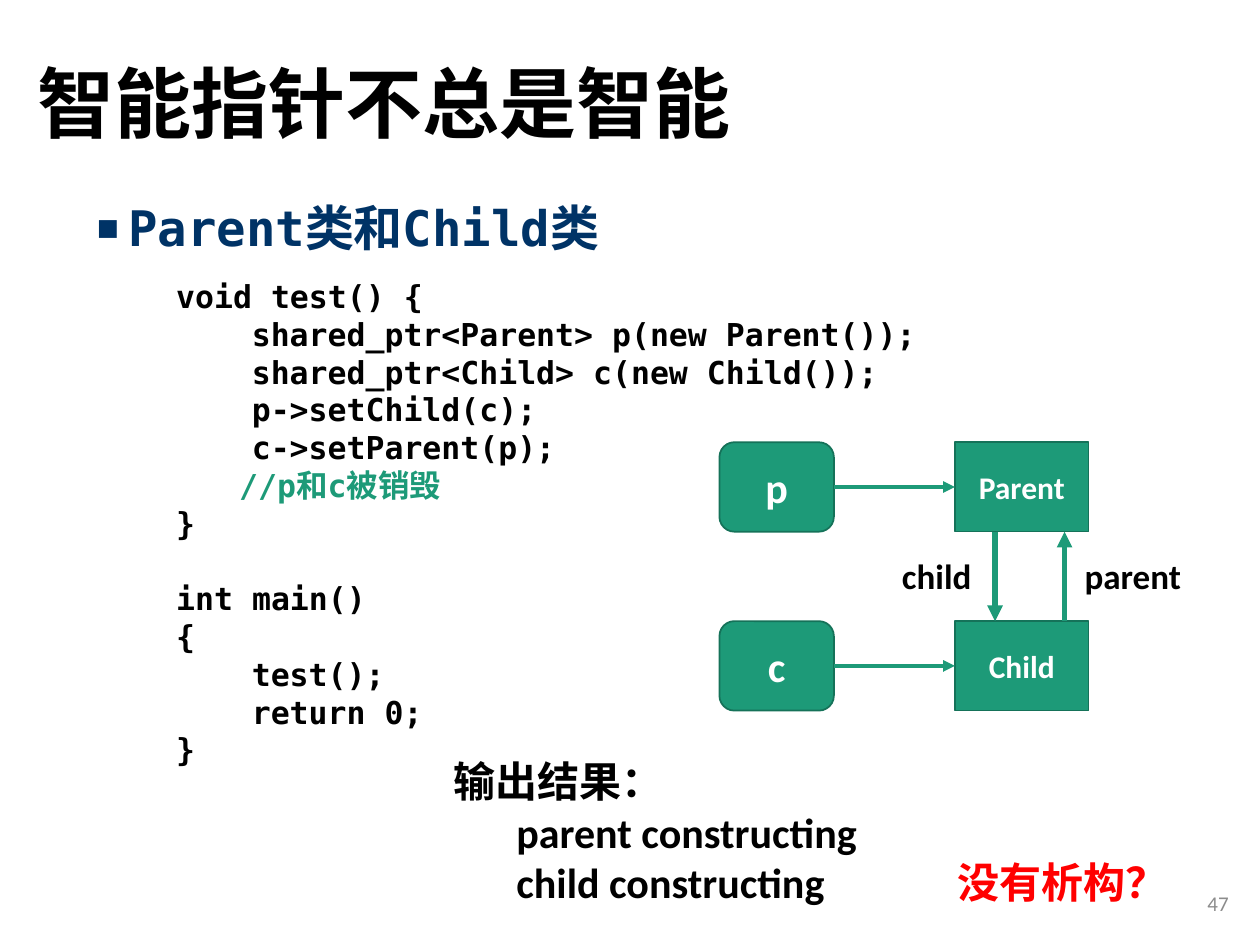
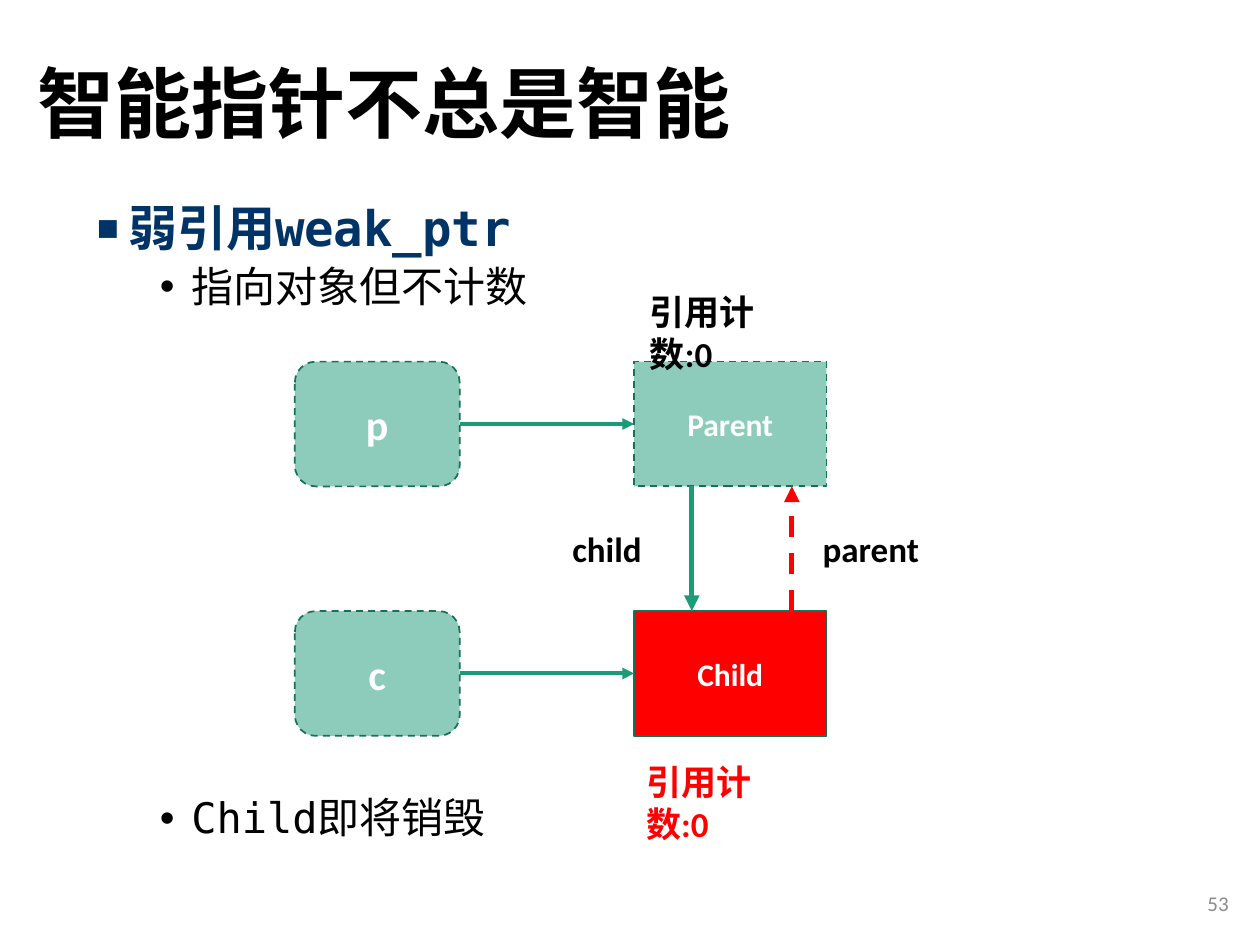
import dataclasses
import typing

import pptx
import pptx.dml.color
import pptx.enum.dml
import pptx.enum.shapes
import pptx.enum.text
import pptx.oxml
import pptx.oxml.ns
import pptx.util
from pptx.util import Inches

Align = pptx.enum.text.PP_ALIGN
Anchor = pptx.enum.text.MSO_ANCHOR
Shape = pptx.enum.shapes.MSO_SHAPE
STRAIGHT = pptx.enum.shapes.MSO_CONNECTOR.STRAIGHT
DASH = pptx.enum.dml.MSO_LINE.DASH
LEFT_SITE, RIGHT_SITE = 1, 3


@dataclasses.dataclass(frozen=True)
class Theme:
    black: str = "000000"
    white: str = "FFFFFF"
    navy: str = "003366"
    green: str = "1D9A78"
    dark_green: str = "157259"
    red: str = "FF0000"
    grey: str = "8C8C8C"
    title_font: str = "Noto Sans CJK SC"
    code_font: str = "DejaVu Sans Mono"
    text_font: str = "Calibri"
    title_size: int = 44
    heading_size: int = 28
    text_size: int = 24
    label_size: int = 20
    code_size: int = 18
    number_size: int = 12


THEME = Theme()


class Box(typing.NamedTuple):
    left: float
    top: float
    width: float
    height: float

    def lengths(self):
        return [Inches(side) for side in self]


TITLE_BOX = Box(0.2, 0.13, 8.62, 1.45)
BODY_BOX = Box(0.67, 1.57, 8.8, 5.19)
NUMBER_BOX = Box(7.6, 6.97, 2.25, 0.4)


def rgb(color):
    return pptx.dml.color.RGBColor.from_string(color)


def add_xml(parent, tag, **attributes):
    child = pptx.oxml.parse_xml(f"<a:{tag} {pptx.oxml.ns.nsdecls('a')}/>")
    for name, value in attributes.items():
        child.set(name, str(value))
    parent.append(child)
    return child


def add_text(page, box, anchor=Anchor.TOP):
    frame = page.shapes.add_textbox(*box.lengths()).text_frame
    frame.word_wrap = True
    frame.vertical_anchor = anchor
    return frame


def write(frame, text, size, font, color=THEME.black, bold=True, align=Align.LEFT):
    para = frame.paragraphs[0]
    if para.runs:
        para = frame.add_paragraph()
    para.add_run().text = text
    para.alignment = align
    para.font.size = pptx.util.Pt(size)
    para.font.name = font
    para.font.bold = bold
    para.font.color.rgb = rgb(color)
    return para


def indent(para, left, hanging=0.0):
    properties = para._p.get_or_add_pPr()
    properties.set("marL", str(Inches(left)))
    properties.set("indent", str(-Inches(hanging)))
    return properties


def add_bullet(para, symbol, left, space, percent=100):
    para.line_spacing = 0.9
    para.space_before = pptx.util.Pt(space)
    properties = indent(para, left, 0.25)
    defaults = properties.find(pptx.oxml.ns.qn("a:defRPr"))
    for tag, attributes in (
        ("buSzPct", {"val": percent * 1000}),
        ("buFont", {"typeface": "Arial"}),
        ("buChar", {"char": symbol}),
    ):
        defaults.addprevious(add_xml(properties, tag, **attributes))


def add_page(deck, title, heading, points, number):
    page = deck.slides.add_slide(deck.slide_layouts[6])
    frame = add_text(page, TITLE_BOX, Anchor.MIDDLE)
    write(frame, title, THEME.title_size, THEME.title_font).line_spacing = 0.9
    body = add_text(page, BODY_BOX)
    para = write(body, heading, THEME.heading_size, THEME.code_font, THEME.navy)
    add_bullet(para, "■", 0.25, 10, 75)
    for point, space in points:
        para = write(body, point, THEME.text_size, THEME.code_font, bold=False)
        add_bullet(para, "•", 0.75, space)
    frame = add_text(page, NUMBER_BOX, Anchor.MIDDLE)
    write(frame, number, THEME.number_size, THEME.text_font, THEME.grey, False, Align.RIGHT)
    return page


def add_code(page, box, lines):
    frame = add_text(page, box)
    for text, left, color, space in lines:
        para = write(frame, text, THEME.code_size, THEME.code_font, color)
        para.space_before = pptx.util.Pt(space)
        indent(para, left)


def add_output(page, box, heading, results, question):
    frame = add_text(page, box)
    write(frame, heading, THEME.text_size, THEME.text_font)
    for result in results:
        para = write(frame, "\t" + result, THEME.text_size, THEME.text_font)
        properties = para._p.get_or_add_pPr()
        stops = add_xml(properties, "tabLst")
        for position in (0.5, 4):
            add_xml(stops, "tab", pos=Inches(position), algn="l")
        properties.find(pptx.oxml.ns.qn("a:defRPr")).addprevious(stops)
    span = para.add_run()
    span.text = "\t" + question
    span.font.color.rgb = rgb(THEME.red)


def add_node(page, kind, box, text, size, color, faded):
    node = page.shapes.add_shape(kind, *box.lengths())
    node.shadow.inherit = False
    node.fill.solid()
    node.fill.fore_color.rgb = rgb(color)
    node.line.color.rgb = rgb(THEME.dark_green)
    node.line.width = pptx.util.Pt(1)
    if faded:
        node.line.dash_style = DASH
        solid = node.element.spPr.find(pptx.oxml.ns.qn("a:solidFill"))
        add_xml(solid[0], "alpha", val=50000)
    node.text_frame.vertical_anchor = Anchor.MIDDLE
    write(node.text_frame, text, size, THEME.text_font, THEME.white, align=Align.CENTER)
    return node


def add_arrow(page, start, end, width, color=THEME.green, dashed=False):
    points = [Inches(value) for value in (*start, *end)]
    arrow = page.shapes.add_connector(STRAIGHT, *points)
    arrow.line.color.rgb = rgb(color)
    arrow.line.width = pptx.util.Pt(width)
    if dashed:
        arrow.line.dash_style = DASH
    properties = arrow.element.spPr
    add_xml(properties.find(pptx.oxml.ns.qn("a:ln")), "tailEnd", type="triangle")
    add_xml(properties, "effectLst")
    return arrow


def add_pointer_diagram(page, box, faded=(), child_color=THEME.green, weak=False):
    height = box.height / 3
    variable_width, object_width = box.width * 0.31, box.width * 0.362
    object_left = box.left + box.width - object_width
    rows = (("p", "Parent", THEME.green), ("c", "Child", child_color))
    for row, (variable, name, color) in enumerate(rows):
        top = box.top + 2 * height * row
        pointer = add_node(page, Shape.ROUNDED_RECTANGLE,
                           Box(box.left, top, variable_width, height),
                           variable, THEME.text_size, THEME.green, variable in faded)
        target = add_node(page, Shape.RECTANGLE,
                          Box(object_left, top, object_width, height),
                          name, THEME.code_size, color, name in faded)
        arrow = add_arrow(page, (0, 0), (1, 1), 2.25)
        arrow.begin_connect(pointer, RIGHT_SITE)
        arrow.end_connect(target, LEFT_SITE)

    upper, lower = box.top + height, box.top + 2 * height
    down, up = (object_left + object_width * part for part in (0.3, 0.82))
    add_arrow(page, (down, upper), (down, lower), 3)
    add_arrow(page, (up, lower), (up, upper), 3, THEME.red if weak else THEME.green, weak)

    label_top = (upper + lower) / 2 - 0.22
    child_left = object_left - 0.36 - 0.15 * object_width
    parent_left = object_left + object_width - 0.13
    for text, left, width in (("child", child_left, 0.78), ("parent", parent_left, 1.16)):
        frame = add_text(page, Box(left, label_top, width, 0.44))
        write(frame, text, THEME.label_size, THEME.text_font)


def add_count(page, box, color):
    frame = add_text(page, box)
    frame.margin_right = Inches(0.44)
    write(frame, "引用计数:0", THEME.label_size, THEME.text_font, color)


def build_cycle_page(deck, title):
    page = add_page(deck, title, "Parent类和Child类", (), "47")
    add_code(page, Box(1.3, 2.15, 7.01, 4.04), (
        ("void test() {", 0, THEME.black, 0),
        ("shared_ptr<Parent> p(new Parent());", 0.6, THEME.black, 0),
        ("shared_ptr<Child> c(new Child());", 0.6, THEME.black, 0),
        ("p->setChild(c);", 0.6, THEME.black, 0),
        ("c->setParent(p);", 0.6, THEME.black, 0),
        ("//p和c被销毁", 0.5, THEME.green, 0),
        ("}", 0, THEME.black, 0),
        ("int main()", 0, THEME.black, 21.5),
        ("{", 0, THEME.black, 0),
        ("test();", 0.6, THEME.black, 0),
        ("return 0;", 0.6, THEME.black, 0),
        ("}", 0, THEME.black, 0),
    ))
    add_output(page, Box(3.5, 5.95, 5.92, 1.31), "输出结果：",
               ("parent constructing", "child constructing"), "没有析构？")
    add_pointer_diagram(page, Box(5.71, 3.51, 2.93, 2.13))


def build_weak_page(deck, title):
    points = (("指向对象但不计数", 5), ("Child即将销毁", 278))
    page = add_page(deck, title, "弱引用weak_ptr", points, "53")
    add_pointer_diagram(page, Box(2.34, 2.87, 4.22, 2.97),
                        ("p", "c", "Parent"), THEME.red, True)
    add_count(page, Box(5.03, 5.99, 1.54, 0.44), THEME.red)
    add_count(page, Box(5.06, 2.26, 1.54, 0.44), THEME.black)


def main():
    deck = pptx.Presentation()
    deck.slide_width, deck.slide_height = Inches(10), Inches(7.5)
    title = "智能指针不总是智能"
    build_cycle_page(deck, title)
    build_weak_page(deck, title)
    deck.save("out.pptx")


if __name__ == "__main__":
    main()
